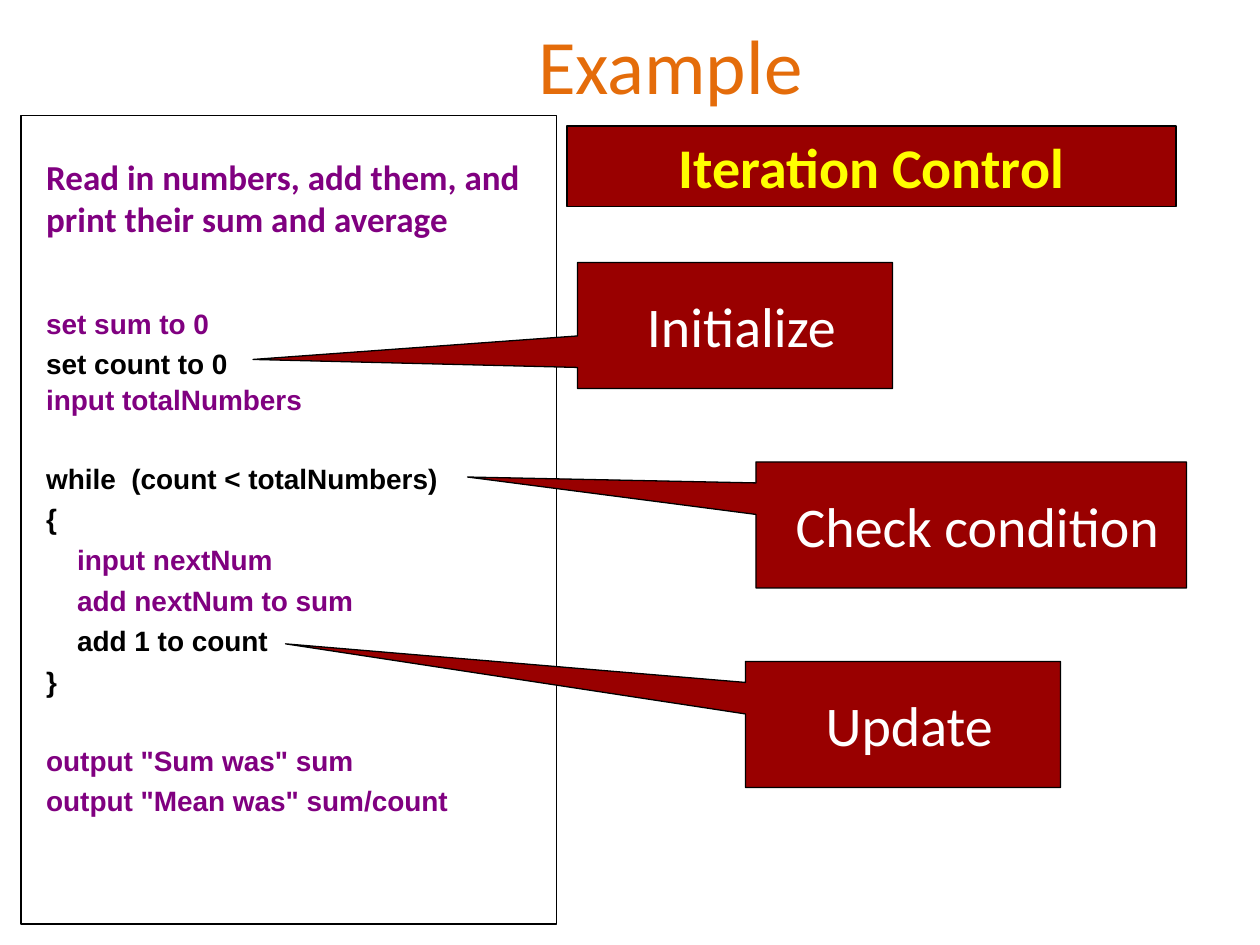
from dataclasses import dataclass

from pptx import Presentation
from pptx.dml.color import RGBColor
from pptx.enum.shapes import MSO_SHAPE
from pptx.enum.text import MSO_ANCHOR, PP_ALIGN
from pptx.util import Inches, Pt


@dataclass(frozen=True)
class Theme:
    """Colours, fonts, type sizes and spacing of the slide."""
    black: RGBColor = RGBColor.from_string("000000")
    white: RGBColor = RGBColor.from_string("FFFFFF")
    purple: RGBColor = RGBColor.from_string("800080")
    crimson: RGBColor = RGBColor.from_string("990000")
    yellow: RGBColor = RGBColor.from_string("FFFF00")
    orange: RGBColor = RGBColor.from_string("E46C0A")
    text_font: str = "Calibri"
    code_font: str = "Arial"
    title_size: int = 44
    label_size: int = 32
    task_size: int = 20
    code_size: int = 16
    outline: float = 0.75
    tight: int = 1
    step: int = 4
    block: int = 26
    section: int = 38


THEME = Theme()
CELLS_PER_INCH = 12

TASK = ["Read in numbers, add them, and", "print their sum and average"]
PSEUDOCODE = [
    ("set sum to 0", THEME.purple, THEME.section),
    ("set count to 0", THEME.black, THEME.step),
    ("input totalNumbers", THEME.purple, THEME.tight),
    ("while  (count < totalNumbers)", THEME.black, THEME.block),
    ("{", THEME.black, THEME.step),
    ("    input nextNum", THEME.purple, THEME.step),
    ("    add nextNum to sum", THEME.purple, THEME.step),
    ("    add 1 to count", THEME.black, THEME.step),
    ("}", THEME.black, THEME.step),
    ('output "Sum was" sum', THEME.purple, THEME.block),
    ('output "Mean was" sum/count', THEME.purple, THEME.step),
]
CALLOUTS = [
    ("Initialize", (55, 25, 30, 12), (-1.53, 0.27)),
    ("Check condition", (72, 44, 41, 12), (-1.17, -0.38)),
    ("Update", (71, 63, 30, 12), (-1.96, -0.64)),
]


def cells(area):
    """Turn column, row, column span and row span into lengths."""
    return [Inches(count / CELLS_PER_INCH) for count in area]


def write(paragraph, words, size, color, font=THEME.text_font, bold=False, before=0,
          align=PP_ALIGN.LEFT):
    """Put one styled run into a paragraph."""
    paragraph.alignment = align
    if before:
        paragraph.space_before = Pt(before)
    run = paragraph.add_run()
    run.text = words
    run.font.name = font
    run.font.size = Pt(size)
    run.font.bold = bold
    run.font.color.rgb = color


def add_panel(slide, preset, area, fill=None):
    """Add an outlined shape, filled only when a colour is given."""
    panel = slide.shapes.add_shape(preset, *cells(area))
    panel.shadow.inherit = False
    panel.line.color.rgb = THEME.black
    panel.line.width = Pt(THEME.outline)
    if fill is None:
        panel.fill.background()
    else:
        panel.fill.solid()
        panel.fill.fore_color.rgb = fill
    return panel


def add_listing(slide, area):
    """Add the framed task statement and its pseudocode."""
    frame = add_panel(slide, MSO_SHAPE.RECTANGLE, area).text_frame
    frame.word_wrap = True
    frame.vertical_anchor = MSO_ANCHOR.TOP
    frame.margin_left, frame.margin_top = Inches(0.2), Inches(0.32)
    write(frame.paragraphs[0], TASK[0], THEME.task_size, THEME.purple, bold=True)
    for words in TASK[1:]:
        write(frame.add_paragraph(), words, THEME.task_size, THEME.purple, bold=True)
    for words, color, before in PSEUDOCODE:
        write(frame.add_paragraph(), words, THEME.code_size, color,
              THEME.code_font, True, before)


def add_callout(slide, words, area, tip):
    """Add a callout whose tip is given in shares of its size from its centre."""
    callout = add_panel(slide, MSO_SHAPE.RECTANGULAR_CALLOUT, area, THEME.crimson)
    callout.adjustments[0], callout.adjustments[1] = tip
    frame = callout.text_frame
    frame.word_wrap = False
    frame.vertical_anchor = MSO_ANCHOR.MIDDLE
    frame.margin_left = Inches(0.2)
    write(frame.paragraphs[0], words, THEME.label_size, THEME.white,
          align=PP_ALIGN.CENTER)


def add_banner(slide, words, area):
    """Add the filled heading above the callouts."""
    frame = add_panel(slide, MSO_SHAPE.RECTANGLE, area, THEME.crimson).text_frame
    frame.word_wrap = True
    frame.vertical_anchor = MSO_ANCHOR.TOP
    write(frame.paragraphs[0], words, THEME.label_size, THEME.yellow, bold=True,
          align=PP_ALIGN.CENTER)


def add_title(slide, words, area):
    """Add the slide title."""
    frame = slide.shapes.add_textbox(*cells(area)).text_frame
    frame.word_wrap = True
    write(frame.paragraphs[0], words, THEME.title_size, THEME.orange,
          align=PP_ALIGN.CENTER)


def main():
    """Build and save the slide."""
    deck = Presentation()
    deck.slide_width, deck.slide_height = cells((120, 90))
    slide = deck.slides.add_slide(deck.slide_layouts[6])
    add_listing(slide, (2, 11, 51, 77))
    for words, area, tip in CALLOUTS:
        add_callout(slide, words, area, tip)
    add_banner(slide, "Iteration Control", (54, 12, 58, 7.7))
    add_title(slide, "Example", (27.6, 1.1, 72.5, 10))
    deck.save("out.pptx")


if __name__ == "__main__":
    main()
